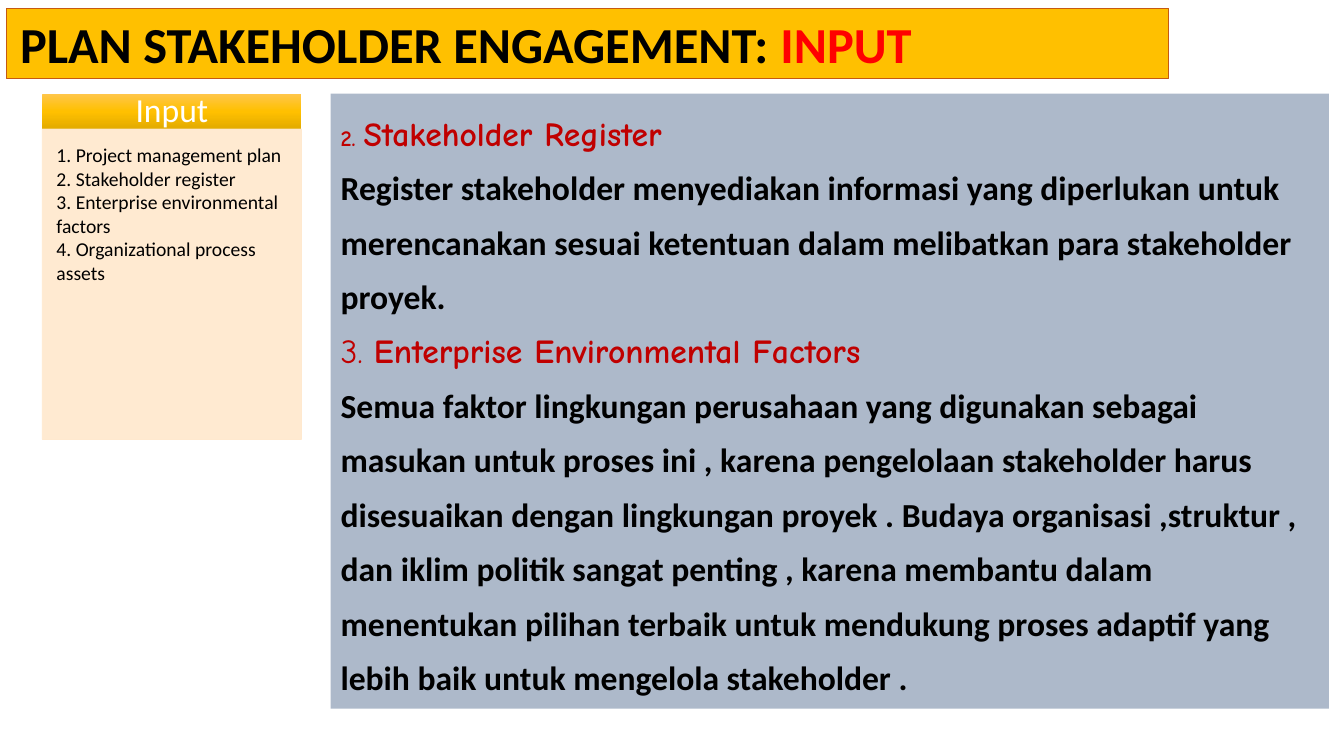
import copy

import pptx
import pptx.dml.color
import pptx.enum.shapes
import pptx.enum.text
import pptx.oxml
import pptx.oxml.ns
import pptx.util

PX = 9144  # 100 px to the inch
LEFT = pptx.enum.text.PP_ALIGN.LEFT
CENTER = pptx.enum.text.PP_ALIGN.CENTER
TOP = pptx.enum.text.MSO_ANCHOR.TOP
MIDDLE = pptx.enum.text.MSO_ANCHOR.MIDDLE

TITLE = {"name": "Calibri", "size": 36, "bold": True, "color": "000000"}
TITLE_ACCENT = {**TITLE, "color": "FF0000"}
CARD_HEADING = {"name": "Calibri", "size": 24, "bold": False, "color": "FFFFFF"}
CARD_ITEM = {"name": "Calibri", "size": 14, "bold": False, "color": "000000"}
TOPIC = {"name": "Comic Neue", "size": 24, "bold": True, "color": "C00000"}
BODY = {"name": "Calibri", "size": 24, "bold": True, "color": "000000"}

INPUTS = [
    "1. Project management plan",
    "2. Stakeholder register",
    "3. Enterprise environmental factors",
    "4. Organizational process assets",
]
EXPLANATION = [
    [("2. ", {**TOPIC, "size": 16}), ("Stakeholder Register", TOPIC)],
    [("Register stakeholder menyediakan informasi yang diperlukan untuk "
      "merencanakan sesuai ketentuan dalam melibatkan para stakeholder proyek.", BODY)],
    [("3. ", {**TOPIC, "bold": False}), ("Enterprise Environmental Factors", TOPIC)],
    [("Semua faktor lingkungan perusahaan yang digunakan sebagai masukan untuk proses ini , "
      "karena pengelolaan stakeholder harus disesuaikan dengan lingkungan proyek . "
      "Budaya organisasi ,struktur , dan iklim politik sangat penting , karena membantu "
      "dalam menentukan pilihan terbaik untuk mendukung proses adaptif yang lebih baik "
      "untuk mengelola stakeholder .", BODY)],
]


def rgb(value):
    return pptx.dml.color.RGBColor.from_string(value)


def place(shape, left, top, width, height):
    for name, value in {"left": left, "top": top, "width": width, "height": height}.items():
        setattr(shape, name, value * PX)


def add_panel(page, *bounds):
    shape = page.shapes.add_shape(pptx.enum.shapes.MSO_SHAPE.RECTANGLE, 0, 0, 0, 0)
    place(shape, *bounds)
    shape.shadow.inherit = False
    shape.line.fill.background()
    return shape


def paint(fill, color):
    fill.solid()
    fill.fore_color.rgb = rgb(color)


def paint_gradient(shape, stops, angle):
    shape.fill.gradient()
    stop_list = shape.element.spPr.find(".//" + pptx.oxml.ns.qn("a:gsLst"))
    while len(stop_list) < len(stops):
        stop_list.append(copy.deepcopy(stop_list[-1]))
    for stop, (position, color) in zip(shape.fill.gradient_stops, stops):
        stop.position = position
        stop.color.rgb = rgb(color)
    shape.fill.gradient_angle = angle


def set_opacity(shape, percent):
    """Apply the opacity to every solid colour of the shape's fill and line."""
    for color in shape.element.spPr.iter(pptx.oxml.ns.qn("a:srgbClr")):
        alpha = pptx.oxml.parse_xml(f'<a:alpha {pptx.oxml.ns.nsdecls("a")}/>')
        alpha.set("val", str(percent * 1000))
        color.append(alpha)


def write(shape, paragraphs, insets=(10, 5, 10, 5), align=LEFT, anchor=TOP, spacing=1.0):
    """Fill the shape with paragraphs, each a list of (text, format) pairs."""
    frame = shape.text_frame
    frame.word_wrap = True
    frame.auto_size = pptx.enum.text.MSO_AUTO_SIZE.NONE
    frame.vertical_anchor = anchor
    for side, inset in zip(("left", "top", "right", "bottom"), insets):
        setattr(frame, f"margin_{side}", inset * PX)
    for index, spans in enumerate(paragraphs):
        para = frame.add_paragraph() if index else frame.paragraphs[0]
        para.alignment = align
        para.line_spacing = spacing
        for text, style in spans:
            span = para.add_run()
            span.text = text
            for name, value in style.items():
                if name == "color":
                    span.font.color.rgb = rgb(value)
                else:
                    setattr(span.font, name, pptx.util.Pt(value) if name == "size" else value)


def add_title(page):
    title = page.shapes.title
    place(title, 6, 8, 1153, 70)
    paint(title.fill, "FFC000")
    paint(title.line.fill, "C55A11")
    title.line.width = pptx.util.Pt(0.75)
    write(title, [[("PLAN STAKEHOLDER ENGAGEMENT: ", TITLE), ("INPUT", TITLE_ACCENT)]],
          insets=(14, 5, 9, 5))


def add_input_card(page):
    heading = add_panel(page, 42, 93, 257, 35)
    paint_gradient(heading, [(0, "FFC64B"), (0.5, "FFC000"), (1, "E3AB00")], 270)
    write(heading, [[("Input", CARD_HEADING)]], insets=(19, 11, 19, 11),
          align=CENTER, anchor=MIDDLE, spacing=0.9)
    items = add_panel(page, 42, 128, 257, 308)
    paint(items.fill, "FFE8CC")
    paint(items.line.fill, "FFE8CC")
    items.line.width = pptx.util.Pt(0.5)
    set_opacity(items, 90)
    write(items, [[(item, CARD_ITEM)] for item in INPUTS], insets=(14, 14, 19, 21))


def add_explanation(page):
    panel = add_panel(page, 328, 93, 990, 610)
    paint(panel.fill, "ADB9CA")
    write(panel, EXPLANATION, spacing=1.35)


def main():
    deck = pptx.Presentation()
    deck.slide_width = 1333 * PX
    deck.slide_height = 750 * PX
    page = deck.slides.add_slide(deck.slide_layouts[5])
    add_title(page)
    add_input_card(page)
    add_explanation(page)
    deck.save("out.pptx")


if __name__ == "__main__":
    main()
